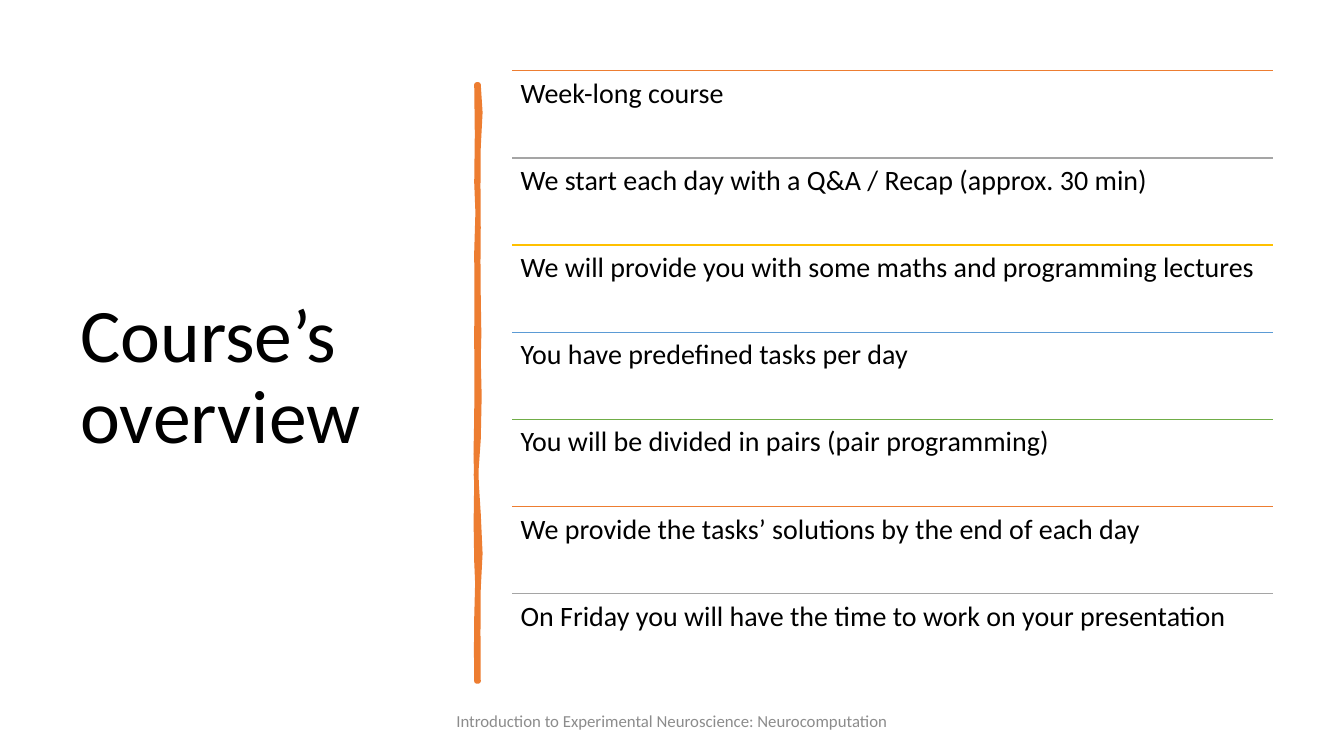
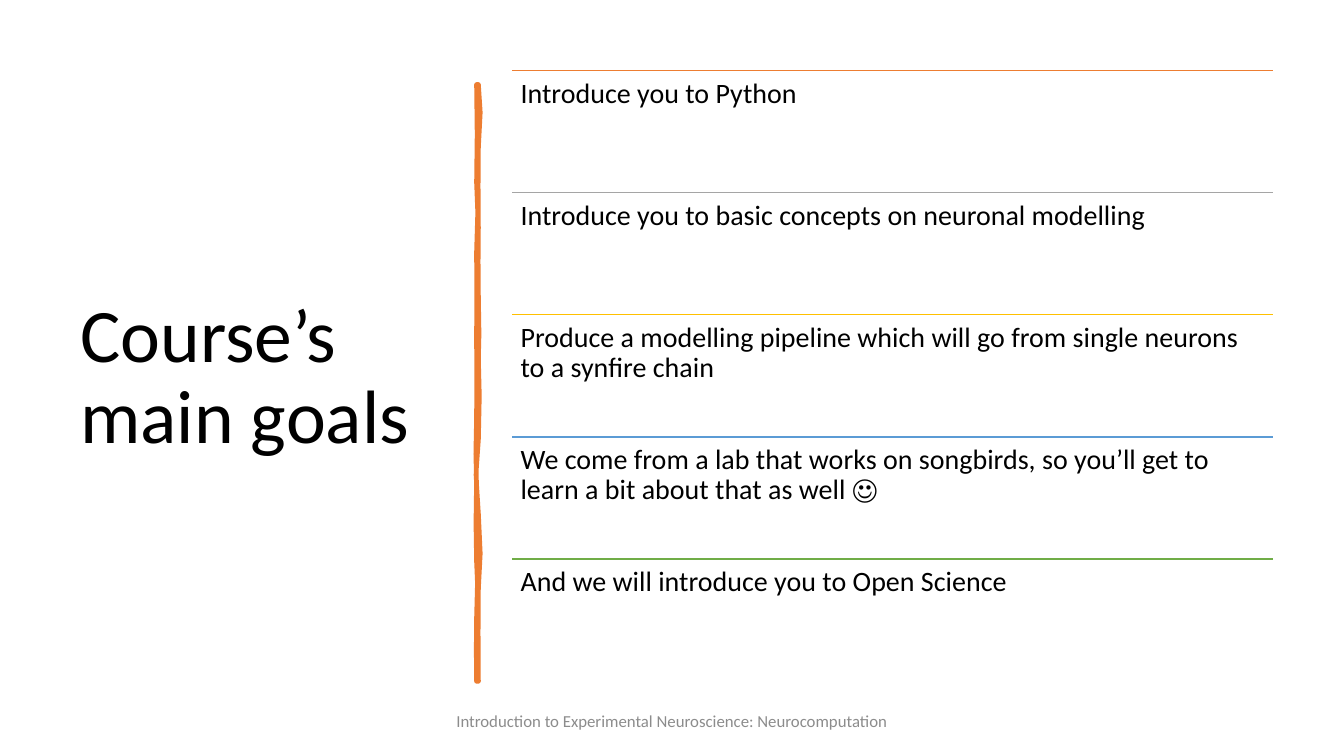
from dataclasses import dataclass

from lxml import etree
from pptx import Presentation
from pptx.dml.color import RGBColor
from pptx.enum.shapes import MSO_CONNECTOR
from pptx.enum.text import MSO_ANCHOR, MSO_AUTO_SIZE, PP_ALIGN
from pptx.oxml.ns import qn
from pptx.util import Cm, Pt

STRAIGHT = MSO_CONNECTOR.STRAIGHT
TOP, MIDDLE = MSO_ANCHOR.TOP, MSO_ANCHOR.MIDDLE
LEFT, CENTER = PP_ALIGN.LEFT, PP_ALIGN.CENTER
NO_FIT = MSO_AUTO_SIZE.NONE

# Shared look
FONT = "Calibri"
BLACK, GREY, ORANGE = "000000", "8C8C8C", "ED7D31"
RULES = (ORANGE, "A5A5A5", "FFC000", "5B9BD5", "70AD47")
FOOTER = "Introduction to Experimental Neuroscience: Neurocomputation"

# List area in centimetres
LIST_X, LIST_Y, LIST_W, LIST_H = 12.91, 1.78, 19.18, 15.38
INSET = 0.21

# Brush stroke: start point, then Bezier curves (two controls and an end), in cm
START = (12.06, 2.13)
CURVES = (
    (12.12, 2.59, 12.12, 3.02, 12.06, 3.71),
    (12.01, 4.39, 12.09, 4.95, 12.06, 5.74),
    (12.04, 6.53, 12.06, 6.65, 12.06, 7.47),
    (12.04, 8.26, 12.12, 8.69, 12.06, 9.04),
    (12.01, 9.4, 12.17, 10.52, 12.06, 11.07),
    (11.96, 11.61, 11.99, 12.29, 12.06, 12.95),
    (12.12, 13.61, 12.12, 14.33, 12.06, 14.83),
    (12.01, 15.32, 12.09, 16.51, 12.06, 17.17),
    (12.04, 17.17, 12.02, 17.17, 12.01, 17.17),
    (12.04, 16.41, 11.96, 16.36, 12.01, 15.57),
    (12.04, 14.81, 12.04, 14.48, 12.01, 14.15),
    (11.99, 13.82, 11.99, 12.57, 12.01, 12.12),
    (12.01, 11.66, 11.96, 11.3, 12.01, 10.54),
    (12.04, 9.8, 11.99, 9.47, 12.01, 8.51),
    (12.04, 7.57, 11.99, 7.14, 12.01, 6.35),
    (12.04, 5.54, 12.06, 5.08, 12.01, 4.6),
    (11.94, 4.14, 12.12, 2.64, 12.01, 2.13),
)
STEPS = 2


@dataclass(frozen=True)
class Page:
    title: str
    items: tuple[str, ...]


PAGES = (
    Page("Course’s overview", (
        "Week-long course",
        "We start each day with a Q&A / Recap (approx. 30 min)",
        "We will provide you with some maths and programming lectures",
        "You have predefined tasks per day",
        "You will be divided in pairs (pair programming)",
        "We provide the tasks’ solutions by the end of each day",
        "On Friday you will have the time to work on your presentation",
    )),
    Page("Course’s main goals", (
        "Introduce you to Python",
        "Introduce you to basic concepts on neuronal modelling",
        "Produce a modelling pipeline which will go from single neurons "
        "to a synfire chain",
        "We come from a lab that works on songbirds, so you’ll get to "
        "learn a bit about that as well ☺",
        "And we will introduce you to Open Science",
    )),
)


def color(code: str) -> RGBColor:
    return RGBColor.from_string(code)


def write(shape, text: str, size: int, code: str = BLACK, align=LEFT,
          anchor=MIDDLE, space: float = 0.9) -> None:
    """Fill a shape with one styled paragraph."""
    frame = shape.text_frame
    frame.text = text
    frame.word_wrap = True
    frame.auto_size = NO_FIT
    frame.vertical_anchor = anchor
    para = frame.paragraphs[0]
    para.alignment = align
    para.line_spacing = space
    font = para.runs[0].font
    font.name, font.size = FONT, Pt(size)
    font.color.rgb = color(code)


def add_title(slide, text: str) -> None:
    title = slide.shapes.title
    title.left, title.top = Cm(1.77), Cm(1.78)
    title.width, title.height = Cm(9.5), Cm(15.52)
    write(title, text, 54)


def add_brush(slide) -> None:
    """Draw the hand-drawn divider as a sampled curve."""
    points, (px, py) = [], START
    for ax, ay, bx, by, ex, ey in CURVES:
        for step in range(1, STEPS + 1):
            t = step / STEPS
            u = 1 - t
            k = (u ** 3, 3 * u * u * t, 3 * u * t * t, t ** 3)
            points.append(tuple(
                Cm(sum(a * b for a, b in zip(k, axis)))
                for axis in ((px, ax, bx, ex), (py, ay, by, ey))))
        px, py = ex, ey
    pen = slide.shapes.build_freeform(Cm(START[0]), Cm(START[1]))
    pen.add_line_segments(points, close=True)
    brush = pen.convert_to_shape()
    brush.shadow.inherit = False
    brush.fill.solid()
    brush.fill.fore_color.rgb = color(ORANGE)
    brush.line.color.rgb = color(ORANGE)
    brush.line.width = Pt(3.25)


def add_rule(slide, y: float, code: str) -> None:
    rule = slide.shapes.add_connector(
        STRAIGHT, Cm(LIST_X), Cm(y), Cm(LIST_X + LIST_W), Cm(y))
    rule.line.color.rgb = color(code)
    rule.line.width = Pt(1)
    etree.SubElement(rule.element.spPr, qn("a:effectLst"))


def add_list(slide, items: tuple[str, ...]) -> None:
    """Spread the items evenly, each below a coloured rule."""
    pitch = LIST_H / len(items)
    for i, item in enumerate(items):
        y = LIST_Y + i * pitch
        add_rule(slide, y, RULES[i % len(RULES)])
        box = slide.shapes.add_textbox(
            Cm(LIST_X), Cm(y), Cm(LIST_W), Cm(pitch))
        frame = box.text_frame
        frame.margin_left = frame.margin_right = Cm(INSET)
        frame.margin_top = frame.margin_bottom = Cm(INSET)
        write(box, item, 20, anchor=TOP)


def add_footer(slide) -> None:
    box = slide.shapes.add_textbox(Cm(11.22), Cm(17.65), Cm(11.43), Cm(1.01))
    write(box, FOOTER, 12, GREY, CENTER, space=1.0)


def main() -> None:
    deck = Presentation()
    deck.slide_width, deck.slide_height = Cm(33.87), Cm(19.05)
    layout = deck.slide_layouts.get_by_name("Title Only")
    for page in PAGES:
        slide = deck.slides.add_slide(layout)
        add_title(slide, page.title)
        add_brush(slide)
        add_list(slide, page.items)
        add_footer(slide)
    deck.save("out.pptx")


if __name__ == "__main__":
    main()
